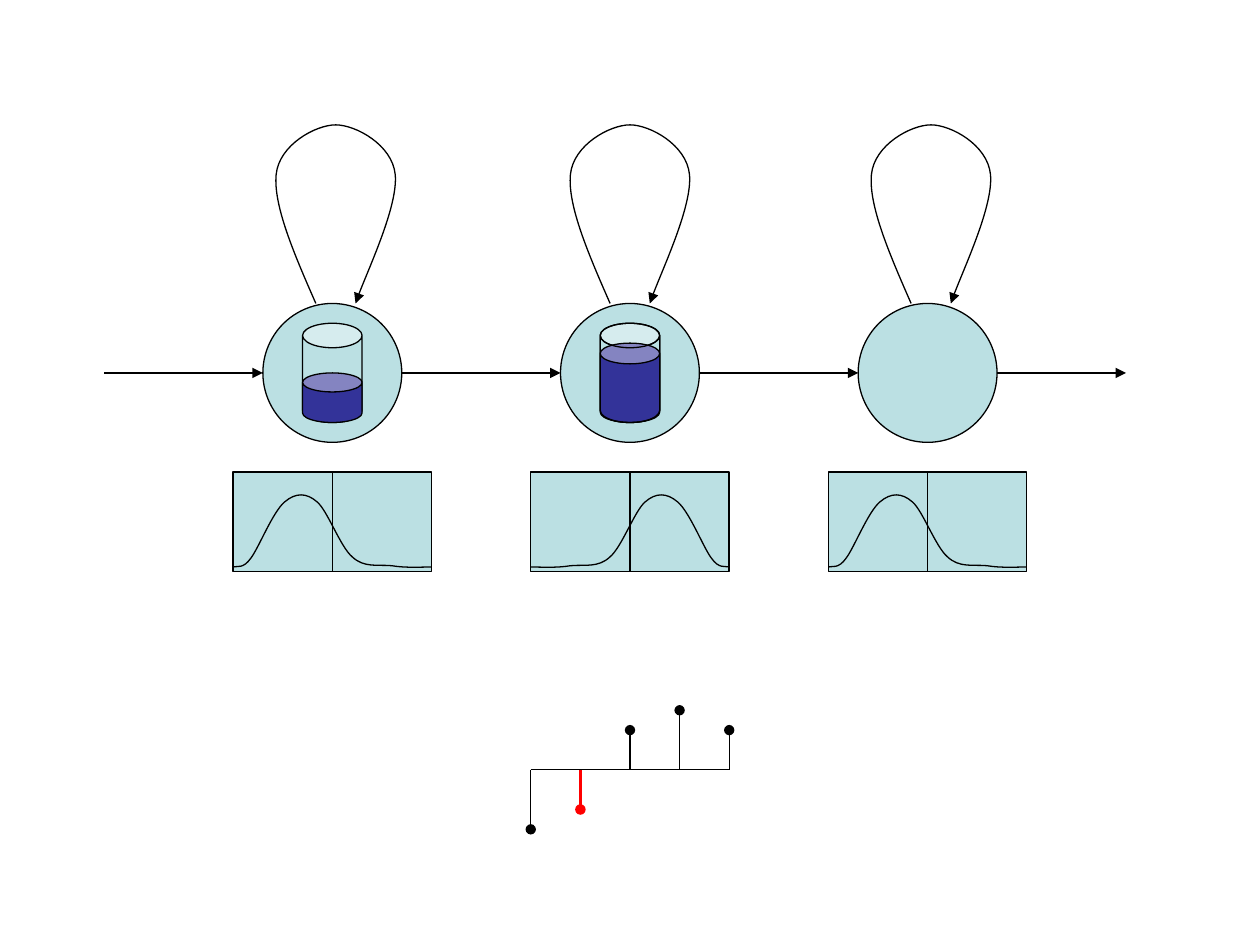
from dataclasses import dataclass

from lxml.etree import SubElement
from pptx import Presentation
from pptx.dml.color import RGBColor
from pptx.enum.shapes import MSO_CONNECTOR, MSO_SHAPE
from pptx.oxml.ns import qn
from pptx.util import Inches, Pt

U = 10 / 63.5
ORIGIN_X, ORIGIN_Y = 5, 2.96
BLACK, RED, PALE, NAVY = "000000", "FF0000", "BBE0E3", "333399"
RADIUS = 3.5
AXIS_ROW = 20

Point = tuple[float, float]

LOOP: list[Point] = [
    (-1, -3.5), (-2.1, -6), (-3.15, -8.45), (-3, -10),
    (-2.85, -11.5), (-1, -12.5), (0, -12.5),
    (1, -12.5), (2.85, -11.5), (3, -10),
    (3.15, -8.45), (1.35, -4.6), (1, -3.5),
]
BELL: list[Point] = [
    (-5, 9.78), (-4.8, 9.72), (-4.5, 9.9), (-4.1, 9.33),
    (-3.7, 8.8), (-3, 7), (-2.4, 6.5),
    (-1.85, 6.03), (-1.3, 6.03), (-0.77, 6.5),
    (-0.25, 6.92), (0.4, 8.76), (1, 9.27),
    (1.6, 9.84), (2.3, 9.65), (3, 9.72),
    (3.7, 9.84), (4.6, 9.78), (5, 9.78),
]


@dataclass
class Can:
    top: float
    adj: float
    fill: str | None


@dataclass
class State:
    col: float
    loop_shift: float
    bell_side: int
    arrow_len: float
    cans: list[Can]


@dataclass
class Stem:
    rise: float
    color: str = BLACK
    weight: float = 0.75


STATES = [
    State(-15, 0.17, 1, 8, [Can(-2.5, 0.411, PALE), Can(0, 0.384, NAVY)]),
    State(0, 0, -1, 8, [Can(-2.5, 0.411, PALE), Can(-1.5, 0.349, NAVY),
                        Can(-2.5, 0.411, None)]),
    State(15, 0.17, 1, 6.5, []),
]
STEMS = [Stem(-3), Stem(-2, RED, 2), Stem(2), Stem(3), Stem(2)]


def x(col: float) -> int:
    return Inches(ORIGIN_X + col * U)


def y(row: float) -> int:
    return Inches(ORIGIN_Y + row * U)


def rgb(value: str) -> RGBColor:
    return RGBColor.from_string(value)


def paint(sp, fill: str | None) -> None:
    sp.shadow.inherit = False
    if fill:
        sp.fill.solid()
        sp.fill.fore_color.rgb = rgb(fill)
    else:
        sp.fill.background()
    sp.line.color.rgb = rgb(BLACK)
    sp.line.width = Pt(0.75)


def add_end(line, kind: str) -> None:
    SubElement(line._get_or_add_ln(), qn("a:tailEnd"), type=kind)


def add_box(s, kind, col: float, row: float, w: float, h: float,
            fill: str | None):
    sp = s.shapes.add_shape(kind, x(col), y(row), Inches(w * U), Inches(h * U))
    paint(sp, fill)
    return sp


def add_line(s, start: Point, end: Point, tail: str | None = None,
             color: str = BLACK, weight: float = 0.75) -> None:
    cx = s.shapes.add_connector(MSO_CONNECTOR.STRAIGHT, x(start[0]),
                                y(start[1]), x(end[0]), y(end[1]))
    cx.line.color.rgb = rgb(color)
    cx.line.width = Pt(weight)
    if tail:
        add_end(cx.line, tail)
    SubElement(cx._element.spPr, qn("a:effectLst"))


def add_curve(s, points: list[Point], tail: str | None = None) -> None:
    start, *rest = [(x(c), y(r)) for c, r in points]
    fb = s.shapes.build_freeform(*start)
    fb.add_line_segments(rest, close=False)
    sp = fb.convert_to_shape()
    paint(sp, None)
    track = sp._element.find(".//" + qn("a:path"))
    steps = track.findall(qn("a:lnTo"))
    for i in range(0, len(steps), 3):
        bez = SubElement(track, qn("a:cubicBezTo"))
        for step in steps[i:i + 3]:
            bez.append(step[0])
            track.remove(step)
    if tail:
        add_end(sp.line, tail)


def draw_state(s, st: State) -> None:
    c = st.col
    add_box(s, MSO_SHAPE.OVAL, c - RADIUS, -RADIUS, 7, 7, PALE)
    add_curve(s, [(c + st.loop_shift + dx, r) for dx, r in LOOP], "triangle")
    add_line(s, (c + RADIUS, 0), (c + RADIUS + st.arrow_len, 0), "triangle")
    for can in st.cans:
        sp = add_box(s, MSO_SHAPE.CAN, c - 1.5, can.top, 3, 2.5 - can.top,
                     can.fill)
        sp.adjustments[0] = can.adj
    add_box(s, MSO_SHAPE.RECTANGLE, c - 5, 5, 10, 5, PALE)
    add_curve(s, [(c + st.bell_side * dx, r) for dx, r in BELL])
    add_line(s, (c, 5), (c, 10))


def draw_stems(s, stems: list[Stem]) -> None:
    add_line(s, (-5, AXIS_ROW), (5, AXIS_ROW))
    for i, stem in enumerate(stems):
        col = -5 + 10 * i / (len(stems) - 1)
        add_line(s, (col, AXIS_ROW), (col, AXIS_ROW - stem.rise), "oval",
                 stem.color, stem.weight)


def main() -> None:
    prs = Presentation()
    prs.slide_width, prs.slide_height = Inches(10), Inches(7.5)
    s = prs.slides.add_slide(prs.slide_layouts[6])
    first = STATES[0].col - RADIUS
    add_line(s, (first - 8, 0), (first, 0), "triangle")
    for st in STATES:
        draw_state(s, st)
    draw_stems(s, STEMS)
    prs.save("out.pptx")


if __name__ == "__main__":
    main()
